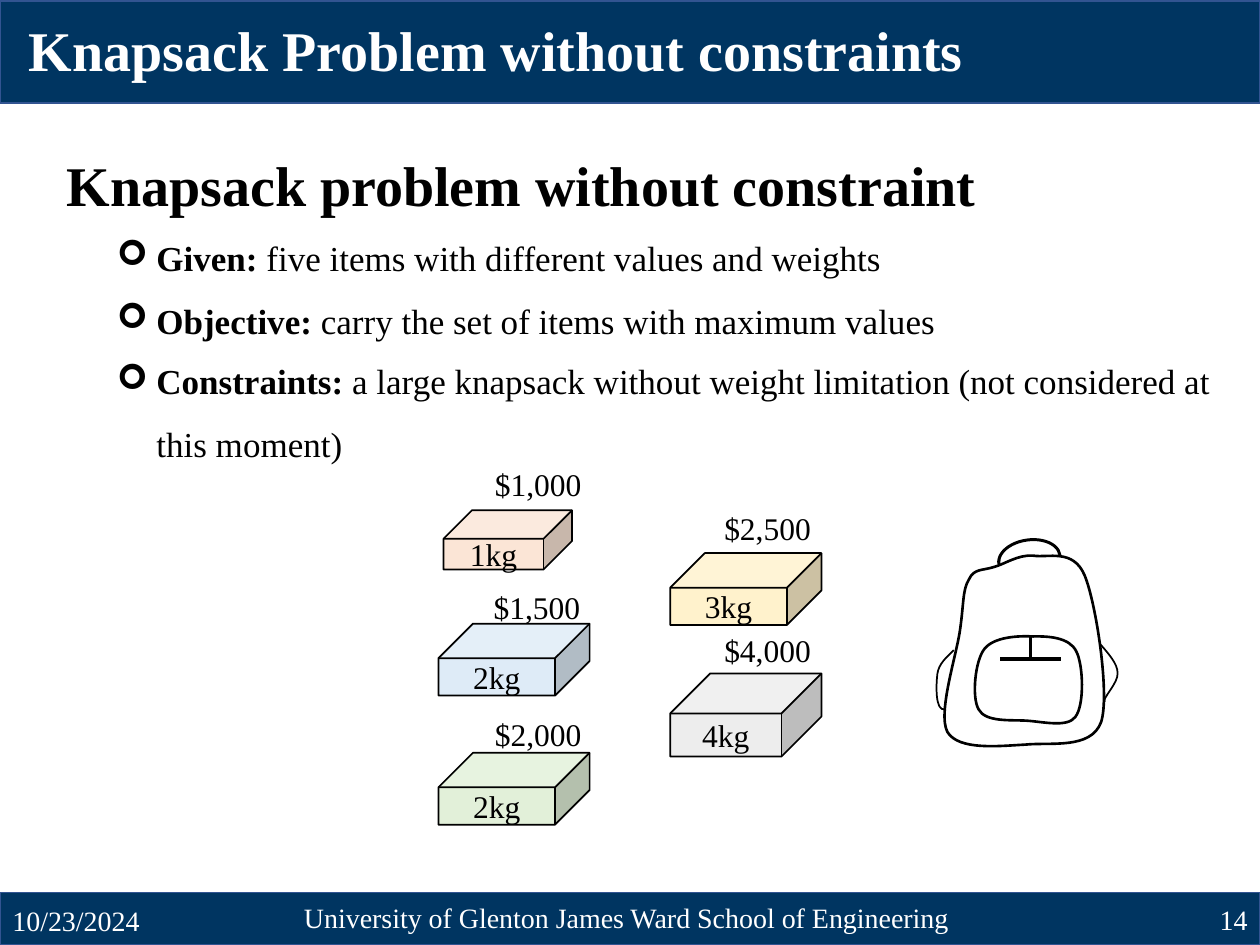
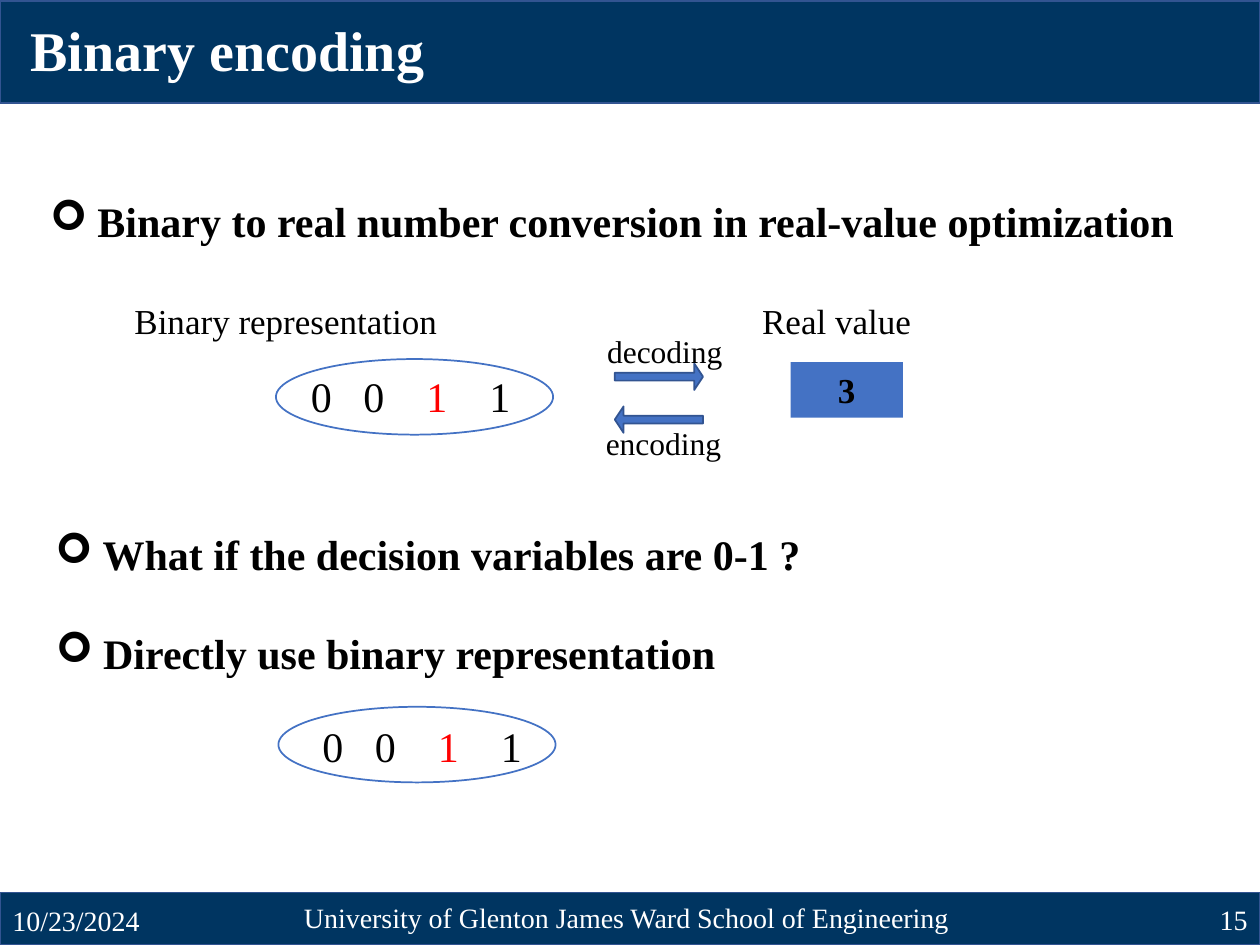
from collections import namedtuple

from lxml import etree
from pptx import Presentation
from pptx import util as u
from pptx.dml import color
from pptx.enum import shapes as es
from pptx.enum import text as et
from pptx.oxml import ns

# Shared look; the grid has 100 columns and 75 rows
WIDTH, HEIGHT = u.Inches(10), u.Inches(7.5)
COLS, ROWS = 100, 75
FONT = "Times New Roman"
COLORS = {
    "navy": "003561", "edge": "325491", "blue": "4472C4", "red": "FF0000",
    "black": "000000", "white": "FFFFFF", "sky": "DEEBF7", "peach": "FBE5D6",
    "mint": "E2F0D9", "cream": "FFF2CC", "grey": "EDEDED",
}
ALIGN, ANCHOR, SHAPE = et.PP_ALIGN, et.MSO_ANCHOR, es.MSO_SHAPE

Box = namedtuple("Box", "col row cols rows")
PAGE = Box(0, 0, COLS, ROWS)


def inner(box, col, row, cols, rows):
    """Box placed relative to the corner of another one."""
    return Box(box.col + col, box.row + row, cols, rows)


def emu(col, row):
    return round(col * WIDTH / COLS), round(row * HEIGHT / ROWS)


def place(box):
    return emu(box.col, box.row) + emu(box.cols, box.rows)


def rgb(name):
    return color.RGBColor.from_string(COLORS[name])


def apply(target, values):
    for name, value in values.items():
        setattr(target, name, value)


# Basic parts
def write(sp, runs, size, ink="black", bold=False, para=None,
          anchor=ANCHOR.TOP):
    """Fill a shape with one paragraph; runs are text or (text, format)."""
    tf = sp.text_frame
    apply(tf, {"word_wrap": True, "vertical_anchor": anchor})
    p = tf.paragraphs[0]
    apply(p, {"alignment": ALIGN.LEFT, **(para or {})})
    for run in [runs] if isinstance(runs, str) else runs:
        text, fmt = (run, {}) if isinstance(run, str) else run
        fmt = {"ink": ink, "bold": bold, "gap": 0, **fmt}
        r = p.add_run()
        r.text = text
        r.font.color.rgb = rgb(fmt.pop("ink"))
        gap = fmt.pop("gap")
        if gap:
            r._r.get_or_add_rPr().set("spc", str(gap * 100))
        apply(r.font, {"name": FONT, "size": u.Pt(size), **fmt})
    return p


def add_text(s, box, runs, size, **style):
    sp = s.shapes.add_textbox(*place(box))
    if "anchor" not in style:
        sp.text_frame.auto_size = et.MSO_AUTO_SIZE.SHAPE_TO_FIT_TEXT
    return write(sp, runs, size, **style)


def indent(p, left, first=0):
    pPr = p._p.get_or_add_pPr()
    pPr.set("marL", str(emu(left, 0)[0]))
    pPr.set("indent", str(emu(first, 0)[0]))
    return pPr


def add_bullet(s, box, runs, size, hang, bold=False):
    p = add_text(s, box, runs, size, bold=bold, para={"line_spacing": 1.5})
    pPr = indent(p, hang, -hang)
    etree.SubElement(pPr, ns.qn("a:buFont")).set("typeface", "Wingdings")
    etree.SubElement(pPr, ns.qn("a:buChar")).set("char", "➢")


def paint(sp, fill=None, line=None, width=1):
    sp.shadow.inherit = False
    if fill:
        sp.fill.solid()
        sp.fill.fore_color.rgb = rgb(fill)
    else:
        sp.fill.background()
    if line:
        sp.line.color.rgb = rgb(line)
        sp.line.width = u.Pt(width)
    else:
        sp.line.fill.background()


def add_shape(s, kind, box, fill=None, line=None, adjust=()):
    sp = s.shapes.add_shape(kind, *place(box))
    for i, value in enumerate(adjust):
        sp.adjustments[i] = value
    paint(sp, fill, line)
    return sp


def add_curve(s, box, frame, start, curves, width, closed=False):
    """Outline of cubic curves, each (control, control, end), in a frame."""
    fb = s.shapes.build_freeform(*emu(*start))
    fb.add_line_segments([emu(*curve[-1]) for curve in curves], close=closed)
    sp = fb.convert_to_shape()
    left, top, wide, high = place(inner(box, *frame))
    apply(sp, {"left": left, "top": top, "width": wide, "height": high})
    outline = sp._element.find(".//" + ns.qn("a:path"))
    outline.set("w", str(wide))
    outline.set("h", str(high))

    def add_point(parent, spot):
        x, y = emu(spot[0] - frame[0], spot[1] - frame[1])
        pt = etree.SubElement(parent, ns.qn("a:pt"))
        pt.set("x", str(x))
        pt.set("y", str(y))

    # Bend each straight segment into its curve
    move = outline.find(ns.qn("a:moveTo"))
    move.remove(move[0])
    add_point(move, start)
    for segment, curve in zip(outline.findall(ns.qn("a:lnTo")), curves):
        bend = etree.Element(ns.qn("a:cubicBezTo"))
        for spot in curve:
            add_point(bend, spot)
        outline.replace(segment, bend)
    paint(sp, line="black", width=width)
    return sp


def add_line(s, box, begin, end, width):
    ends = [emu(box.col + x, box.row + y) for x, y in (begin, end)]
    cn = s.shapes.add_connector(es.MSO_CONNECTOR.STRAIGHT, *ends[0], *ends[1])
    cn.line.color.rgb = rgb("black")
    cn.line.width = u.Pt(width)
    etree.SubElement(cn._element.spPr, ns.qn("a:effectLst"))


# Header and footer
def header(s, box, title, col, cols):
    add_shape(s, SHAPE.RECTANGLE, box, "navy", "edge")
    add_text(s, inner(box, col, 0.65, cols, 6.4), title, 32, ink="white",
             bold=True)


def footer(s, box, number):
    add_shape(s, SHAPE.RECTANGLE, box, "navy", "edge")
    school = "University of Glenton James Ward School of Engineering "
    for col, row, cols, text, align in (
            (0, 0.25, 22.5, "10/23/2024", ALIGN.LEFT),
            (77.5, 0.1, 22.5, str(number), ALIGN.RIGHT),
            (22.5, 0, 55, school, ALIGN.CENTER)):
        add_text(s, inner(box, col, row, cols, 4), text, 16, ink="white",
                 para={"alignment": align}, anchor=ANCHOR.MIDDLE)


def new_slide(prs, title, col, cols, number):
    s = prs.slides.add_slide(prs.slide_layouts[6])
    header(s, inner(PAGE, 0, 0.1, COLS, 8.1), title, col, cols)
    footer(s, inner(PAGE, 0, 70.83, COLS, 4.17), number)
    return s


# Knapsack slide
TERMS = [
    (0, 69.2, 5.5, "Given:", " five items with different values and weights"),
    (5, 75.7, 5.5, "Objective: ", "carry the set of items with maximum values"),
    (9.8, 90.2, 10.5, "Constraints: ", "a large knapsack without weight "
     "limitation (not considered at this moment)"),
]
# Cube (col, row, cols, rows), fill, weight, price and its (col, row)
ITEMS = [
    ((0, 13.1, 12, 5.7), "sky", "2kg", "$1,500", (3.4, 9.8)),
    ((0.4, 4.1, 10.2, 4.7), "peach", "1kg", "$1,000", (3.5, 0)),
    ((0, 23.35, 12, 5.7), "mint", "2kg", "$2,000", (3.5, 19.85)),
    ((18.4, 7.5, 12, 5.7), "cream", "3kg", "$2,500", (21.7, 3.5)),
    ((18.4, 17.05, 12, 6.6), "grey", "4kg", "$4,000", (21.7, 13.2)),
]
BODY = [
    ((3.3, 2.1), (4, 2.3), (4.9, 2)),
    ((5.7, 1.8), (6.8, 1), (8, 1.1)),
    ((9.2, 1.3), (11.2, 0.5), (12.1, 2.7)),
    ((13, 4.9), (14.1, 12.1), (13.4, 14.3)),
    ((12.6, 16.5), (9.4, 15.9), (7.4, 16.1)),
    ((5.4, 16.2), (2.1, 16.6), (1.2, 15.1)),
    ((0.4, 13.6), (1.9, 9.1), (2.2, 7)),
    ((2.5, 4.9), (2.4, 3.8), (2.9, 3)),
]
LEFT_STRAP = [
    ((1.1, 9.2), (0.5, 9.7), (0.4, 10.5)),
    ((0.3, 11.3), (0.2, 13.5), (1, 13.3)),
]
RIGHT_STRAP = [
    ((14, 8.9), (14.7, 9.7), (14.7, 10.4)),
    ((14.8, 11.2), (13.4, 12.5), (13.7, 12.7)),
]
POCKET = [
    ((4.7, 7.7), (6.6, 7.5), (7.8, 7.5)),
    ((9, 7.4), (10.7, 7.4), (11.3, 8.5)),
    ((11.9, 9.5), (12.2, 12.7), (11.5, 13.7)),
    ((10.9, 14.6), (8.9, 14.2), (7.6, 14.2)),
    ((6.3, 14.2), (4.4, 14.5), (3.8, 13.5)),
    ((3.2, 12.6), (3.3, 9.7), (4, 8.7)),
]


def problem_terms(s, box):
    for row, cols, rows, term, meaning in TERMS:
        add_bullet(s, inner(box, 0, row, cols, rows),
                   [(term, {"bold": True}), meaning], 20, 3.13)


def items(s, box):
    for cube, fill, weight, _, _ in ITEMS:
        sp = add_shape(s, SHAPE.CUBE, inner(box, *cube), fill, "black",
                       [0.481])
        write(sp, weight, 18, para={"alignment": ALIGN.CENTER},
              anchor=ANCHOR.MIDDLE)
    for _, _, _, price, spot in ITEMS:
        add_text(s, inner(box, *spot, 9, 4), price, 18)


def knapsack(s, box):
    add_curve(s, box, (1, 1.1, 12.7, 15.1), (2.9, 3), BODY, 1.5, True)
    add_curve(s, box, (0.3, 8.6, 1.4, 4.7), (1.7, 8.6), LEFT_STRAP, 1)
    add_curve(s, box, (13.3, 8.1, 1.4, 4.6), (13.3, 8.1), RIGHT_STRAP, 1)
    pocket = add_curve(s, box, (3.4, 7.4, 8.5, 6.9), (4, 8.7), POCKET, 1.5,
                       True)
    pocket.rotation = 3.1
    add_line(s, box, (7.8, 7.5), (7.8, 9.3), 1.5)
    add_line(s, box, (5.4, 9.3), (10.2, 9.3), 2.25)
    handle = add_shape(s, SHAPE.BLOCK_ARC, inner(box, 5.2, -0.2, 5, 3.2),
                       "black", "black", [108, 0.957, 0.031])
    handle.rotation = 351.9


def knapsack_slide(prs):
    s = new_slide(prs, "Knapsack Problem without constraints", 1.3, 78.1, 14)
    add_text(s, inner(PAGE, 4.3, 8.8, 82.9, 8.1),
             "Knapsack problem without constraint", 32, bold=True,
             para={"alignment": ALIGN.JUSTIFY, "line_spacing": 1.5})
    knapsack(s, inner(PAGE, 74, 43, 15, 17))
    items(s, inner(PAGE, 34.8, 36.4, 32.4, 29))
    problem_terms(s, inner(PAGE, 8.3, 16.6, 90.2, 20.3))


# Binary encoding slide
def bit_string(s, box, text_col, text_row):
    """Ellipse round four bits, spaced by wide gaps."""
    p = add_text(s, inner(box, text_col, text_row, 21.7, 5.2),
                 ["0", (" ", {"gap": 12}), "0", (" ", {"gap": 18}),
                  ("1", {"ink": "red"}), (" ", {"gap": 18}), "1"], 24)
    indent(p, 2.5)
    add_shape(s, SHAPE.OVAL, box, line="blue")


def conversion(s, box):
    bit_string(s, inner(box, 13.6, 5.2, 22, 6), -0.7, 0.4)
    for kind, row, label, col, label_row in (
            (SHAPE.RIGHT_ARROW, 5.55, "decoding", 38.9, 2.55),
            (SHAPE.LEFT_ARROW, 8.95, "encoding", 38.8, 9.9)):
        add_shape(s, kind, inner(box, 40.5, row, 7, 2.1), "blue", "edge",
                  [0.295, 0.331])
        add_text(s, inner(box, col, label_row, 11.3, 4), label, 18)
    sp = add_shape(s, SHAPE.RECTANGLE, inner(box, 54.45, 5.45, 8.9, 4.4),
                   "blue")
    write(sp, "3", 20, bold=True, para={"alignment": ALIGN.CENTER})
    indent(add_text(s, inner(box, 0, 0, 44, 4.4), "Binary representation",
                    20), 1.39)
    add_text(s, inner(box, 51.2, 0, 41.2, 4.4), "Real value", 20)


def encoding_slide(prs):
    s = new_slide(prs, "Binary encoding", 1.45, 34.6, 15)
    for col, row, text in (
            (3, 13.05, "Binary to real number conversion in real-value "
             "optimization"),
            (3.4, 39.45, "What if the decision variables are 0-1 ?"),
            (3.45, 47.3, "Directly use binary representation")):
        add_bullet(s, inner(PAGE, col, row, 93.2, 6.3), text, 24, 3.75,
                   bold=True)
    conversion(s, inner(PAGE, 8.3, 23.3, 92.4, 14))
    bit_string(s, inner(PAGE, 22.1, 56.1, 22, 6), 0, 0.6)


def main():
    prs = Presentation()
    apply(prs, {"slide_width": WIDTH, "slide_height": HEIGHT})
    knapsack_slide(prs)
    encoding_slide(prs)
    prs.save("out.pptx")


if __name__ == "__main__":
    main()
